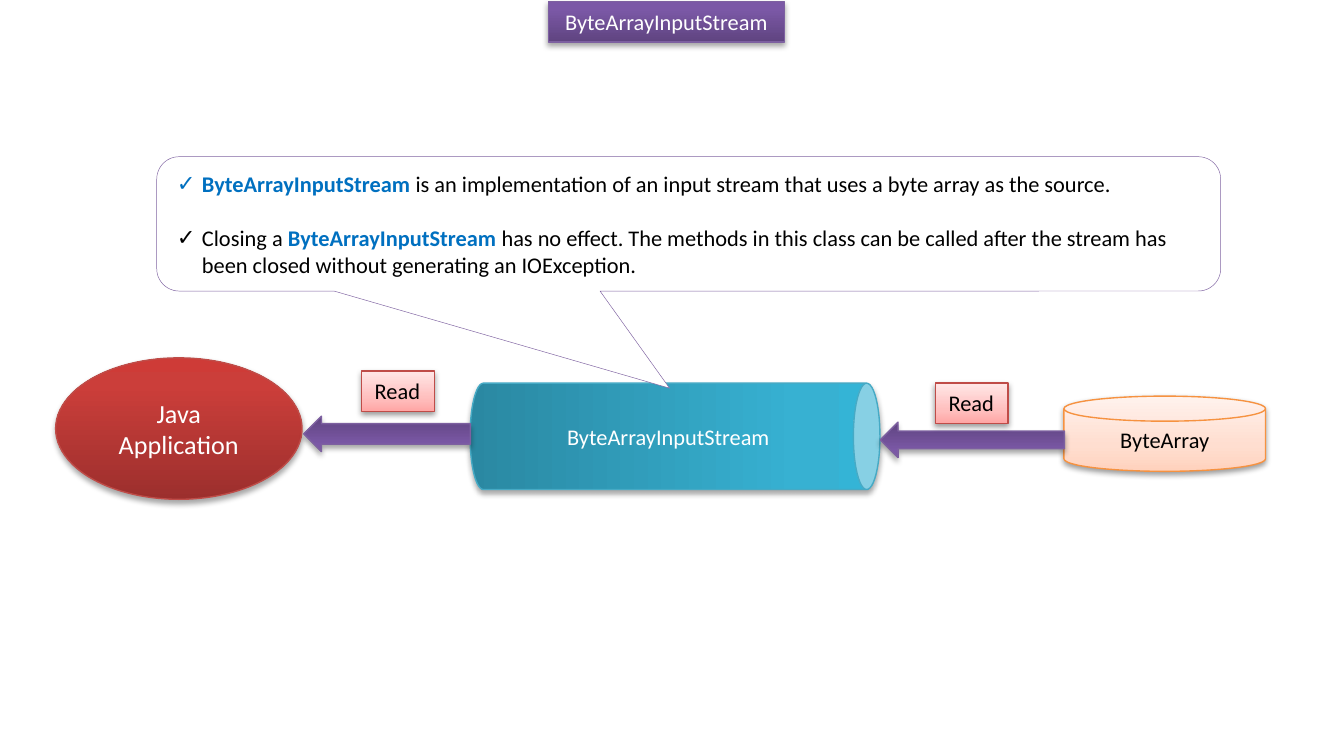
from copy import deepcopy

from lxml.etree import SubElement
from pptx import Presentation
from pptx.dml.color import RGBColor
from pptx.enum.shapes import MSO_SHAPE
from pptx.enum.text import MSO_ANCHOR, MSO_AUTO_SIZE, PP_ALIGN
from pptx.oxml.ns import qn
from pptx.util import Pt

COLORS = {
    "white": "FFFFFF",
    "black": "000000",
    "term": "0070C0",
    "callout_line": "8064A2",
}
GRADIENTS = {
    "purple": ("7D60A0", ((0, "5F4480"), (0.8, "7B58A6"), (1, "7C57A8"))),
    "red": ("BF4C48", ((0, "9C2F2D"), (0.8, "CB3E3A"), (1, "CE3B37"))),
    "teal": ("46AAC5", ((0, "2A88A2"), (0.8, "37B1D2"), (1, "34B4D6"))),
    "peach": ("F69240", ((0, "FFD2BD"), (0.35, "FFDED0"), (1, "FFF2ED"))),
    "pink": ("BF4C48", ((0, "FFA6A5"), (0.35, "FFC0BF"), (1, "FFE7E7"))),
}
PALE = ("peach", "pink")
STREAM = "ByteArrayInputStream"


def write_text(para, text, size=12, color="black", bold=False, font="Calibri"):
    span = para.add_run()
    span.text = text
    span.font.name = font
    span.font.size = Pt(size)
    span.font.bold = bold
    span.font.color.rgb = RGBColor.from_string(COLORS[color])


class StreamSlide:
    def __init__(self, deck):
        self.page = deck.slides.add_slide(deck.slide_layouts[1])

    def place(self, box, bounds):
        box.left, box.top, box.width, box.height = map(Pt, bounds)

    def paint(self, box, style):
        line, stops = GRADIENTS[style]
        box.fill.gradient()
        box.fill.gradient_angle = 90
        stop_list = box._element.spPr.find(".//" + qn("a:gsLst"))
        stop_list.append(deepcopy(stop_list[-1]))
        for stop, (position, color) in zip(box.fill.gradient_stops, stops):
            stop.position = position
            stop.color.rgb = RGBColor.from_string(color)
        box.line.color.rgb = RGBColor.from_string(line)
        box.line.width = Pt(0.75)
        self.cast_shadow(box, *((38, 1.6) if style in PALE else (35, 1.8)))

    def cast_shadow(self, box, opacity, distance):
        box.shadow.inherit = False
        effects = box._element.spPr.find(qn("a:effectLst"))
        shadow = SubElement(effects, qn("a:outerShdw"), blurRad=str(Pt(3.1)),
                            dist=str(Pt(distance)), dir="5400000", rotWithShape="0")
        color = SubElement(shadow, qn("a:srgbClr"), val=COLORS["black"])
        SubElement(color, qn("a:alpha"), val=str(opacity * 1000))

    def title(self, text, bounds):
        box = self.page.shapes.title
        self.place(box, bounds)
        self.paint(box, "purple")
        frame = box.text_frame
        frame.word_wrap = True
        frame.auto_size = MSO_AUTO_SIZE.NONE
        frame.vertical_anchor = MSO_ANCHOR.TOP
        frame.paragraphs[0].alignment = PP_ALIGN.CENTER
        write_text(frame.paragraphs[0], text, color="white")

    def node(self, kind, bounds, style, text=None, size=12, rotation=0):
        box = self.page.shapes.add_shape(kind, *map(Pt, bounds))
        box.rotation = rotation
        self.paint(box, style)
        if text:
            frame = box.text_frame
            frame.word_wrap = True
            frame.vertical_anchor = MSO_ANCHOR.MIDDLE
            frame.paragraphs[0].alignment = PP_ALIGN.CENTER
            write_text(frame.paragraphs[0], text, size=size,
                       color="black" if style in PALE else "white")
        return box

    def pipe(self, text, bounds):
        box = self.node(MSO_SHAPE.CAN, bounds, "teal", text, rotation=90)
        box.text_frame._txBody.bodyPr.set("vert", "vert270")

    def arrow(self, bounds, shaft=0.5):
        box = self.node(MSO_SHAPE.RIGHT_ARROW, bounds, "purple", rotation=180)
        box.adjustments[0] = shaft

    def label(self, text, left, top):
        box = self.node(MSO_SHAPE.RECTANGLE, (left, top, 39, 21.8), "pink", text)
        frame = box.text_frame
        frame.word_wrap = False
        frame.auto_size = MSO_AUTO_SIZE.SHAPE_TO_FIT_TEXT
        frame.vertical_anchor = MSO_ANCHOR.TOP
        frame.paragraphs[0].alignment = PP_ALIGN.LEFT

    def callout(self, bounds, items):
        bubble = self.page.shapes.add_shape(
            MSO_SHAPE.ROUNDED_RECTANGULAR_CALLOUT, *map(Pt, bounds))
        bubble.shadow.inherit = False
        bubble.adjustments[0], bubble.adjustments[1] = -0.018, 1.223
        bubble.fill.solid()
        bubble.fill.fore_color.rgb = RGBColor.from_string(COLORS["white"])
        bubble.line.color.rgb = RGBColor.from_string(COLORS["callout_line"])
        bubble.line.width = Pt(0.25)
        left, top, width, height = bounds
        self.checklist((left + 3.5, top + 3.5, width - 7, height - 7), items)

    def checklist(self, bounds, items):
        body = self.page.placeholders[1]
        self.place(body, bounds)
        self.page.shapes._spTree.append(body._element)
        frame = body.text_frame
        frame.word_wrap = True
        frame.auto_size = MSO_AUTO_SIZE.NONE
        frame.vertical_anchor = MSO_ANCHOR.MIDDLE
        for index, spans in enumerate(items):
            para = frame.add_paragraph() if index else frame.paragraphs[0]
            properties = para._p.get_or_add_pPr()
            properties.set("marL", str(Pt(13.5)))
            properties.set("indent", str(Pt(-13.5)))
            SubElement(properties, qn("a:buChar"), char="✓")
            para.space_before = Pt(14.6 if index else 0)
            for text in spans:
                is_term = text == STREAM
                write_text(para, text, bold=is_term,
                           color="term" if is_term else "black")


def main():
    deck = Presentation()
    deck.slide_width, deck.slide_height = Pt(720), Pt(396)
    slide = StreamSlide(deck)
    slide.title(STREAM, (293.8, 0.7, 126.4, 21.8))
    slide.node(MSO_SHAPE.OVAL, (29.8, 191.8, 132, 75.8), "red", "Java Application", size=14)
    slide.pipe(STREAM, (333.1, 124, 57, 219.6))
    slide.node(MSO_SHAPE.FLOWCHART_MAGNETIC_DISK, (570, 212.3, 108, 40.3),
               "peach", "ByteArray")
    slide.arrow((471.6, 226.2, 98.6, 19))
    slide.arrow((162.7, 223, 89.3, 19), shaft=0.58)
    slide.label("Read", 501.1, 205.2)
    slide.label("Read", 193.7, 198.7)
    slide.callout((84, 84, 570, 72), (
        (STREAM, " is an implementation of an input stream that uses a byte array "
                 "as the source."),
        ("Closing a ", STREAM,
         " has no effect. The methods in this class can be called after the stream "
         "has been closed without generating an IOException."),
    ))
    deck.save("out.pptx")


if __name__ == "__main__":
    main()
